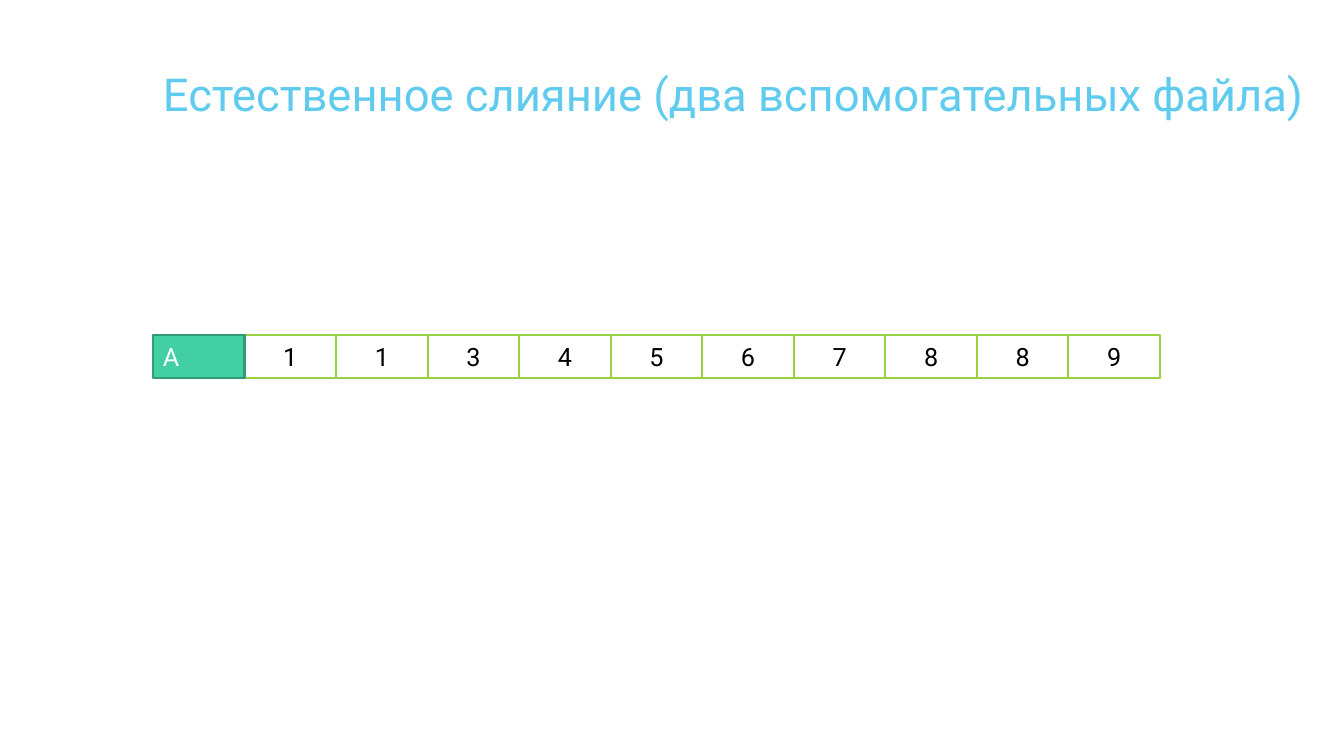
from pptx import Presentation, util as u
from pptx.dml.color import RGBColor
from pptx.enum import shapes, text

PX = 914400 / 100.8
HUES = {"title": "5FCBEF", "white": "FFFFFF", "black": "000000",
        "lime": "96D141", "teal": "42D0A2", "edge": "319A78"}
LEFT, MID = text.PP_ALIGN.LEFT, text.PP_ALIGN.CENTER
NAME = {"fill": "teal", "line": "edge", "ink": "white", "align": LEFT}
ITEM = {"fill": "white", "line": "lime", "ink": "black", "align": MID}


def px(n):
    return u.Emu(round(n * PX))


def hue(key):
    return RGBColor.from_string(HUES[key])


def write(frame, words, size, ink, align, anchor):
    for key, val in {"word_wrap": True, "vertical_anchor": anchor}.items():
        setattr(frame, key, val)
    para = frame.paragraphs[0]
    para.alignment = align
    run = para.add_run()
    run.text = words
    for key, val in {"name": "Roboto", "size": u.Pt(size)}.items():
        setattr(run.font, key, val)
    run.font.color.rgb = hue(ink)


def title(slide, box, words):
    item = slide.shapes.add_textbox(*map(px, box))
    write(item.text_frame, words, 32.4, "title", LEFT, text.MSO_ANCHOR.TOP)


def cell(slide, box, words, look):
    item = slide.shapes.add_shape(shapes.MSO_SHAPE.RECTANGLE, *map(px, box))
    item.shadow.inherit = False
    item.fill.solid()
    item.fill.fore_color.rgb = hue(look["fill"])
    item.line.color.rgb = hue(look["line"])
    item.line.width = u.Pt(1.5)
    write(item.text_frame, words, 18, look["ink"], look["align"],
          text.MSO_ANCHOR.MIDDLE)


def tape(slide, box, name, data):
    left, top, width, height = box
    step = width / (len(data) + 1)
    for i, num in enumerate(data, 1):
        cell(slide, (left + i * step, top, step, height), str(num), ITEM)
    cell(slide, (left, top, step, height), name, NAME)


def main():
    deck = Presentation()
    for key, val in {"slide_width": 1344, "slide_height": 756}.items():
        setattr(deck, key, px(val))
    slide = deck.slides.add_slide(deck.slide_layouts[6])
    title(slide, (153, 61, 1216, 98),
          "Естественное слияние (два вспомогательных файла)")
    tape(slide, (153, 335, 1007, 43), "A", [1, 1, 3, 4, 5, 6, 7, 8, 8, 9])
    deck.save("out.pptx")


if __name__ == "__main__":
    main()
